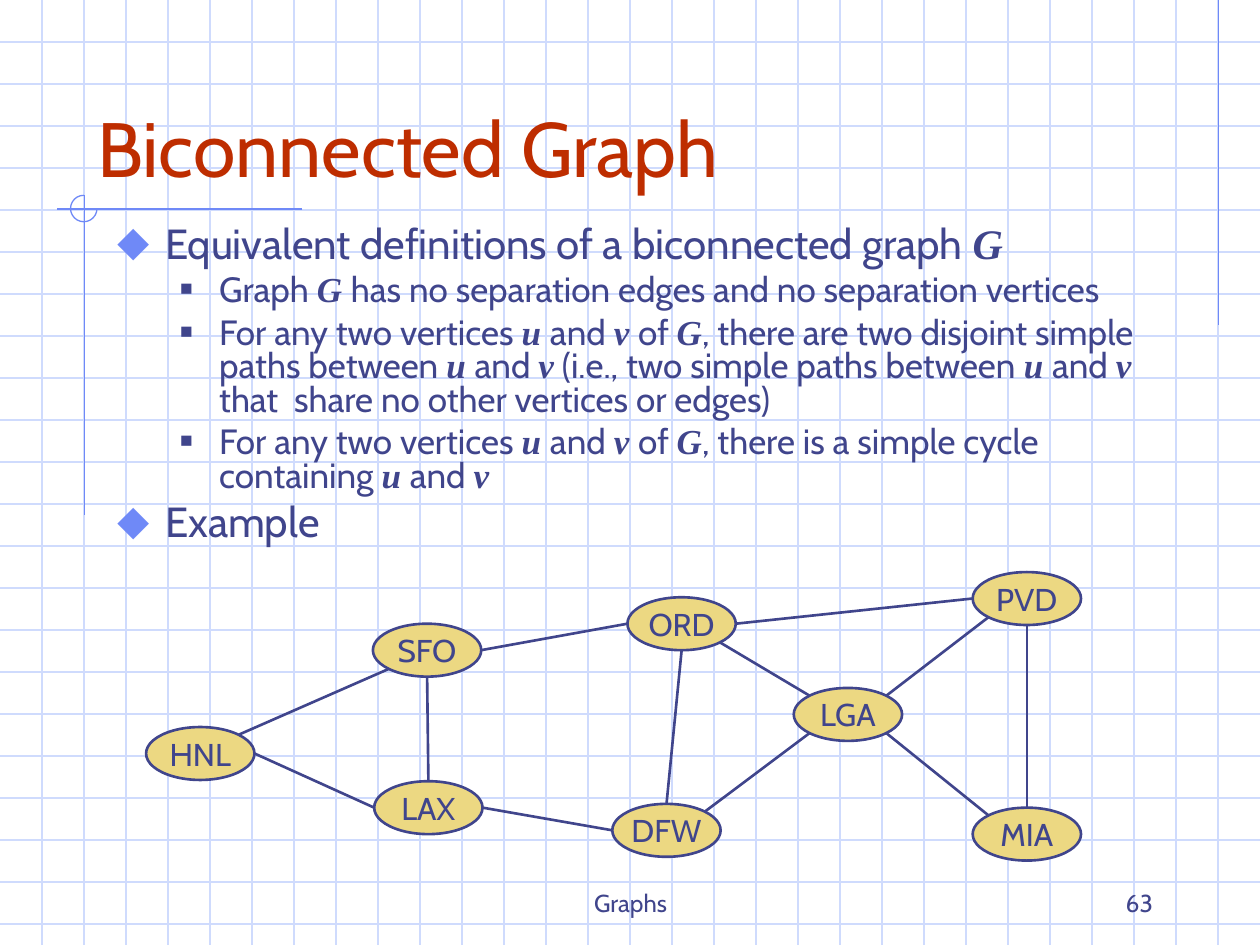
from lxml import etree
from pptx import Presentation
from pptx.dml.color import RGBColor
from pptx.enum.shapes import MSO_CONNECTOR, MSO_SHAPE
from pptx.enum.text import MSO_ANCHOR, MSO_AUTO_SIZE, PP_ALIGN
from pptx.oxml.ns import qn
from pptx.util import Inches, Pt

STRAIGHT = MSO_CONNECTOR.STRAIGHT
OVAL, ARC = MSO_SHAPE.OVAL, MSO_SHAPE.ARC
TOP, MIDDLE, BOTTOM = MSO_ANCHOR.TOP, MSO_ANCHOR.MIDDLE, MSO_ANCHOR.BOTTOM
LEFT, CENTER, RIGHT = PP_ALIGN.LEFT, PP_ALIGN.CENTER, PP_ALIGN.RIGHT
NO_FIT = MSO_AUTO_SIZE.NONE

WIDTH, HEIGHT = 10, 7.5
NODE_W, NODE_H = 0.86, 0.42
INK, ACCENT, GRID, RED, GOLD = "40458C", "6F89F7", "CFDBFD", "BE2D00", "ECD882"

SITES = {
    "top": (0, 0, -1), "top left": (1, -0.71, -0.71),
    "left": (2, -1, 0), "bottom left": (3, -0.71, 0.71),
    "bottom": (4, 0, 1), "bottom right": (5, 0.71, 0.71),
    "right": (6, 1, 0), "top right": (7, 0.71, -0.71),
}

LEVELS = [
    {"size": 24, "margin": 0.38, "hang": 0.38, "before": 6,
     "char": "⬥", "color": ACCENT, "percent": 110},
    {"size": 20, "margin": 0.81, "hang": 0.31, "before": 5,
     "char": "■", "color": INK, "percent": 60},
]

POINTS = [
    (0, "Equivalent definitions of a biconnected graph *G*"),
    (1, "Graph *G *has no separation edges and no separation vertices"),
    (1, "For any two vertices *u *and *v *of *G*, there are two disjoint simple "
        "paths between *u *and *v* (i.e., two simple paths between *u *and *v* "
        "that  share no other vertices or edges)"),
    (1, "For any two vertices *u *and *v *of *G*, there is a simple cycle "
        "containing *u *and *v*"),
    (0, "Example"),
]

AIRPORTS = {
    "ORD": (4.98, 4.74), "PVD": (7.72, 4.54), "MIA": (7.72, 6.41),
    "DFW": (4.86, 6.38), "SFO": (2.96, 4.95), "LAX": (2.97, 6.2),
    "LGA": (6.3, 5.46), "HNL": (1.16, 5.77),
}

ROUTES = [
    ("DFW", "top", "ORD", "bottom"),
    ("DFW", "top right", "LGA", "bottom left"),
    ("LGA", "top right", "PVD", "bottom left"),
    ("HNL", "right", "LAX", "left"),
    ("SFO", "bottom", "LAX", "top"),
    ("LGA", "bottom right", "MIA", "top left"),
    ("LGA", "top left", "ORD", "bottom right"),
    ("LAX", "right", "DFW", "left"),
    ("HNL", "top right", "SFO", "bottom left"),
    ("MIA", "top", "PVD", "bottom"),
    ("SFO", "right", "ORD", "left"),
    ("ORD", "right", "PVD", "left"),
]


def rgb(color):
    return RGBColor.from_string(color)


class SlideBuilder:
    font = "Cabin"
    math_font = "Times New Roman"

    def __init__(self, slide):
        self.s = slide
        self.nodes = {}

    def line(self, x1, y1, x2, y2, color, width=0.75):
        c = self.s.shapes.add_connector(
            STRAIGHT, Inches(x1), Inches(y1), Inches(x2), Inches(y2))
        c.line.color.rgb = rgb(color)
        c.line.width = Pt(width)
        etree.SubElement(c._element.spPr, qn("a:effectLst"))
        return c

    def shape(self, kind, x, y, w, h, line, width, fill=None):
        sp = self.s.shapes.add_shape(kind, Inches(x), Inches(y), Inches(w), Inches(h))
        sp.shadow.inherit = False
        sp.line.color.rgb = rgb(line)
        sp.line.width = Pt(width)
        if fill:
            sp.fill.solid()
            sp.fill.fore_color.rgb = rgb(fill)
        else:
            sp.fill.background()
        return sp

    def run(self, p, text, size, color=INK, math=False):
        r = p.add_run()
        r.text = text
        r.font.name = self.math_font if math else self.font
        r.font.size = Pt(size)
        r.font.bold = r.font.italic = math
        r.font.color.rgb = rgb(color)

    def frame(self, sp, anchor, wrap=True):
        tf = sp.text_frame
        tf.word_wrap = wrap
        tf.auto_size = NO_FIT
        tf.vertical_anchor = anchor
        tf.margin_left = tf.margin_right = Inches(0.1)
        tf.margin_top = tf.margin_bottom = Inches(0.05)
        return tf

    def placeholder(self, sp, x, y, w, h, anchor):
        sp.left, sp.top, sp.width, sp.height = map(Inches, (x, y, w, h))
        self.s.shapes._spTree.append(sp._element)
        return self.frame(sp, anchor)

    def title(self, text):
        tf = self.placeholder(self.s.shapes.title, 0.67, 0.33, 8.5, 1.25, BOTTOM)
        p = tf.paragraphs[0]
        p.alignment = LEFT
        self.run(p, text, 44, RED)

    def bullet(self, p, style):
        pPr = p._p.get_or_add_pPr()
        pPr.set("marL", str(Inches(style["margin"])))
        pPr.set("indent", str(-Inches(style["hang"])))
        color = etree.SubElement(pPr, qn("a:buClr"))
        etree.SubElement(color, qn("a:srgbClr"), val=style["color"])
        etree.SubElement(pPr, qn("a:buSzPct"), val=str(style["percent"] * 1000))
        etree.SubElement(pPr, qn("a:buChar"), char=style["char"])

    def body(self, points):
        tf = self.placeholder(self.s.placeholders[1], 0.83, 1.75, 8.5, 3, TOP)
        for i, (level, text) in enumerate(points):
            p = tf.add_paragraph() if i else tf.paragraphs[0]
            style = LEVELS[level]
            self.bullet(p, style)
            p.level = level
            p.line_spacing = 0.8
            p.space_before = Pt(style["before"] if i else 0)
            for j, part in enumerate(text.split("*")):
                if part:
                    self.run(p, part, style["size"], math=j % 2 == 1)

    def node(self, name, x, y):
        sp = self.shape(OVAL, x, y, NODE_W, NODE_H, INK, 1.5, GOLD)
        p = self.frame(sp, MIDDLE, wrap=False).paragraphs[0]
        p.alignment = CENTER
        self.run(p, name, 18)
        self.nodes[name] = (sp, x + NODE_W / 2, y + NODE_H / 2)

    def edge(self, start, start_site, end, end_site):
        coords, links = [], []
        for tag, name, site in (("a:stCxn", start, start_site),
                                ("a:endCxn", end, end_site)):
            sp, cx, cy = self.nodes[name]
            idx, dx, dy = SITES[site]
            coords += [cx + dx * NODE_W / 2, cy + dy * NODE_H / 2]
            links.append((tag, sp.shape_id, idx))
        c = self.line(*coords, INK, 1.5)
        props = c._element.find(".//" + qn("p:cNvCxnSpPr"))
        for tag, shape_id, idx in links:
            etree.SubElement(props, qn(tag), id=str(shape_id), idx=str(idx))

    def footer(self, text, x, w, align):
        sp = self.s.shapes.add_textbox(Inches(x), Inches(6.83), Inches(w), Inches(0.5))
        p = self.frame(sp, BOTTOM).paragraphs[0]
        p.alignment = align
        self.run(p, text, 14)

    def backdrop(self):
        for i in range(1, 23):
            self.line(0, i / 3, WIDTH, i / 3, GRID)
        for i in range(1, 30):
            self.line(i / 3, 0, i / 3, HEIGHT, GRID)
        self.line(9.67, 0, 9.67, 2.58, ACCENT)
        self.line(2.4, 1.66, 0.45, 1.66, ACCENT)
        self.line(0.67, 1.55, 0.67, 4.09, ACCENT)
        arc = self.shape(ARC, 0.56, 1.55, 0.21, 0.21, ACCENT, 0.75)
        arc.adjustments[0] = 0
        arc.adjustments[1] = 270 * 0.6


def main():
    prs = Presentation()
    prs.slide_width, prs.slide_height = Inches(WIDTH), Inches(HEIGHT)
    b = SlideBuilder(prs.slides.add_slide(prs.slide_layouts[1]))
    b.backdrop()
    b.title("Biconnected Graph")
    b.body(POINTS)
    for name, (x, y) in AIRPORTS.items():
        b.node(name, x, y)
    for route in ROUTES:
        b.edge(*route)
    b.footer("Graphs", 3.42, 3.17, CENTER)
    b.footer("63", 7.17, 2.08, RIGHT)
    prs.save("out.pptx")


if __name__ == "__main__":
    main()
